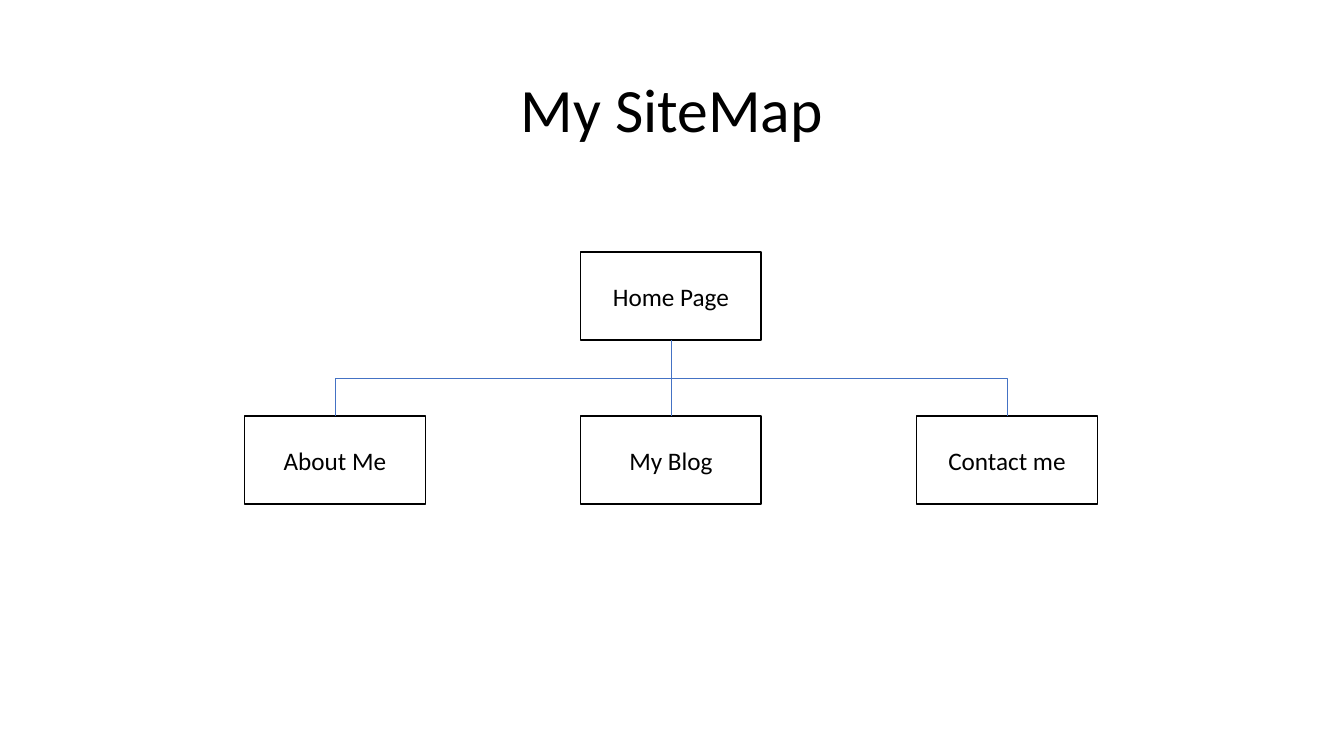
from dataclasses import dataclass

from lxml import etree
from pptx import Presentation
from pptx.dml.color import RGBColor
from pptx.enum.shapes import MSO_CONNECTOR, MSO_SHAPE
from pptx.enum.text import MSO_ANCHOR, PP_ALIGN
from pptx.oxml.ns import qn
from pptx.shapes.autoshape import Shape
from pptx.shapes.connector import Connector
from pptx.slide import Slide
from pptx.util import Emu, Pt

RECTANGLE = MSO_SHAPE.RECTANGLE
STRAIGHT = MSO_CONNECTOR.STRAIGHT
ELBOW = MSO_CONNECTOR.ELBOW
MIDDLE = MSO_ANCHOR.MIDDLE
CENTER = PP_ALIGN.CENTER

EMU_PER_PX = 9525
BLANK_LAYOUT = 6
TOP, BOTTOM = 0, 2
BLACK, WHITE, BLUE = "000000", "FFFFFF", "4472C4"

BOX_WIDTH, BOX_HEIGHT = 172, 84
FIRST_LEFT, COLUMN_STEP = 233, 320
HOME_TOP, PAGES_TOP = 240, 396


@dataclass(frozen=True)
class Page:
    name: str
    column: int
    top: int


HOME = Page("Home Page", 1, HOME_TOP)
SUBPAGES = [
    Page(name, column, PAGES_TOP)
    for column, name in enumerate(["About Me", "My Blog", "Contact me"])
]


def px(value: int) -> Emu:
    return Emu(value * EMU_PER_PX)


def color(value: str) -> RGBColor:
    return RGBColor.from_string(value)


def write_text(shape: Shape, text: str, *, size: int, line_spacing: float = 1.0) -> None:
    frame = shape.text_frame
    frame.word_wrap = True
    frame.vertical_anchor = MIDDLE
    paragraph = frame.paragraphs[0]
    paragraph.alignment = CENTER
    paragraph.line_spacing = line_spacing
    run = paragraph.add_run()
    run.text = text
    run.font.name = "Calibri"
    run.font.size = Pt(size)
    run.font.color.rgb = color(BLACK)


def add_page(slide: Slide, page: Page) -> Shape:
    left = FIRST_LEFT + page.column * COLUMN_STEP
    shape = slide.shapes.add_shape(
        RECTANGLE, px(left), px(page.top), px(BOX_WIDTH), px(BOX_HEIGHT)
    )
    shape.shadow.inherit = False
    shape.fill.solid()
    shape.fill.fore_color.rgb = color(WHITE)
    shape.line.color.rgb = color(BLACK)
    shape.line.width = Pt(1)
    write_text(shape, page.name, size=18)
    return shape


def turn_downward(connector: Connector) -> None:
    goes_right = connector.end_x > connector.begin_x
    width, height = connector.width, connector.height
    connector.left += (width - height) // 2
    connector.top += (height - width) // 2
    connector.width, connector.height = height, width
    transform = connector._element.spPr.find(qn("a:xfrm"))
    transform.set("rot", str((270 if goes_right else 90) * 60000))
    transform.set("flipH", "1" if goes_right else "0")


def add_link(slide: Slide, parent: Shape, child: Shape) -> None:
    kind = STRAIGHT if parent.left == child.left else ELBOW
    connector = slide.shapes.add_connector(kind, 0, 0, 0, 0)
    connector.begin_connect(parent, BOTTOM)
    connector.end_connect(child, TOP)
    if kind == ELBOW:
        turn_downward(connector)
    connector.line.color.rgb = color(BLUE)
    connector.line.width = Pt(0.5)
    etree.SubElement(connector._element.spPr, qn("a:effectLst"))


def main() -> None:
    presentation = Presentation()
    presentation.slide_width = px(1280)
    presentation.slide_height = px(720)
    slide = presentation.slides.add_slide(presentation.slide_layouts[BLANK_LAYOUT])

    title = slide.shapes.add_textbox(px(88), px(38), px(1104), px(139))
    write_text(title, "My SiteMap", size=44, line_spacing=0.9)

    home = add_page(slide, HOME)
    children = [add_page(slide, page) for page in SUBPAGES]
    for child in children:
        add_link(slide, home, child)

    presentation.save("out.pptx")


if __name__ == "__main__":
    main()
